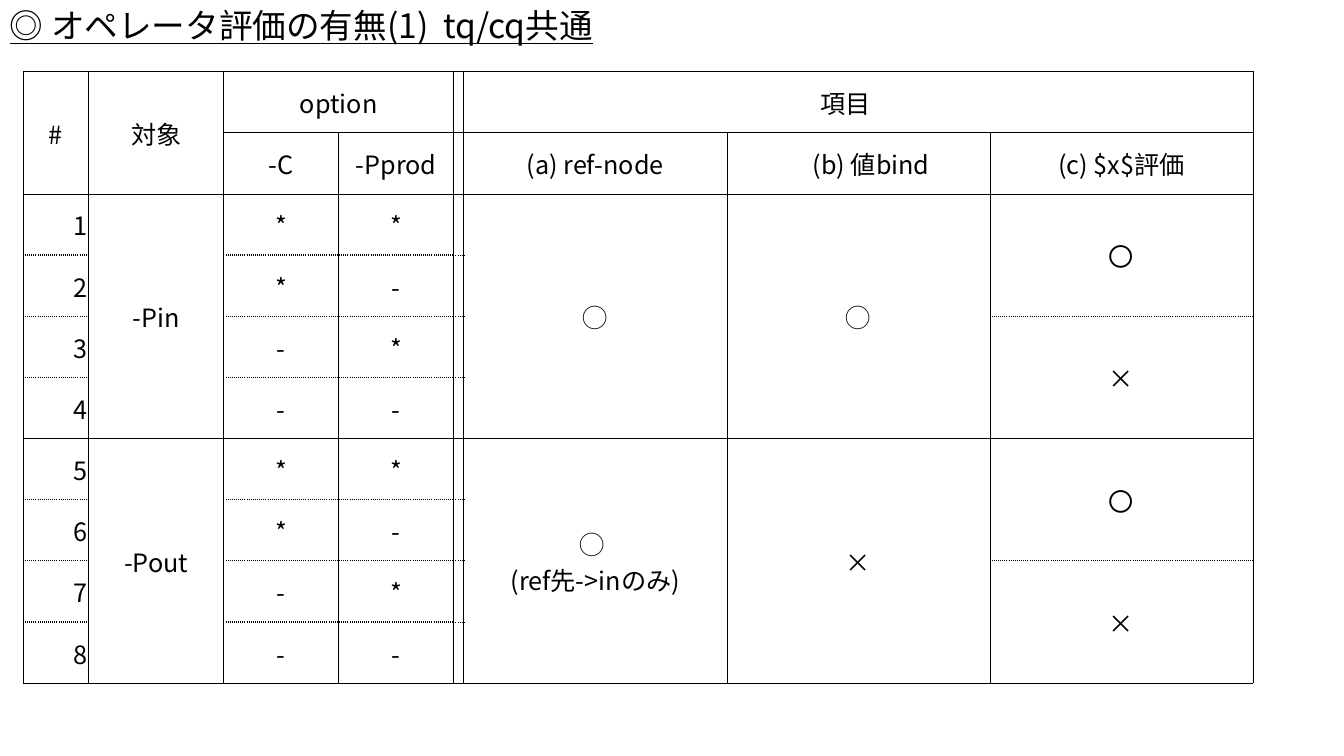
from dataclasses import dataclass

from lxml.etree import SubElement
from pptx import Presentation
from pptx.dml.color import RGBColor
from pptx.enum.text import MSO_ANCHOR, MSO_AUTO_SIZE, PP_ALIGN
from pptx.oxml.ns import qn
from pptx.util import Inches, Pt


@dataclass(frozen=True)
class Theme:
    """Colours, font and sizes of the slide."""
    font: str = "Noto Sans CJK JP"
    ink: str = "000000"
    title_size: int = 24
    body_size: int = 18
    solid: tuple = (0.5, "solid")
    dotted: tuple = (1, "sysDot")
    spacer_dotted: tuple = (0.5, "dot")


THEME = Theme()
TITLE = "◎ オペレータ評価の有無(1)  tq/cq共通"
COLUMN_WIDTHS = (0.65, 1.34, 1.14, 1.14, 0.1, 2.61, 2.61, 2.61)
NUMBER, TARGET, OPTION_C, OPTION_PPROD, SPACER, REF_NODE, BIND, EVALUATION = range(8)
HEADER_ROWS, BLOCK_ROWS = 2, 4
ROW_COUNT = HEADER_ROWS + 2 * BLOCK_ROWS
HEADINGS = {
    (0, NUMBER): ("#", 2, 1),
    (0, TARGET): ("対象", 2, 1),
    (0, OPTION_C): ("option", 1, 2),
    (0, REF_NODE): ("項目\u3000".replace("\u3000", "　"), 1, 3),
    (1, OPTION_C): ("-C", 1, 1),
    (1, OPTION_PPROD): ("-Pprod", 1, 1),
    (1, REF_NODE): ("(a) ref-node", 1, 1),
    (1, BIND): ("　(b) 値bind", 1, 1),
    (1, EVALUATION): ("(c) $x$評価", 1, 1),
}
HEADINGS[0, REF_NODE] = ("項目　", 1, 3)
BLOCKS = (("-Pin", "◯", "◯"), ("-Pout", "◯ \n(ref先->inのみ)", "×"))
OPTIONS = ("**", "*-", "-*", "--")


def apply_format(target, values):
    """Set each named attribute on the target."""
    for name, value in values.items():
        setattr(target, name, value)


def style_text(frame, size, align, underline=None):
    """Give every paragraph of a frame the theme font."""
    for paragraph in frame.paragraphs:
        paragraph.alignment = align
        for run in paragraph.runs:
            apply_format(run.font, {"name": THEME.font, "size": Pt(size),
                                    "underline": underline})
            run.font.color.rgb = RGBColor.from_string(THEME.ink)
            SubElement(run.font._element, qn("a:ea"), typeface=THEME.font)


def horizontal_rule(edge, column):
    """Return the line used at a row edge of a column."""
    step = (edge - HEADER_ROWS) % BLOCK_ROWS
    if edge <= HEADER_ROWS or step == 0:
        return THEME.solid
    if column == SPACER:
        return THEME.spacer_dotted
    if column in (NUMBER, OPTION_C, OPTION_PPROD) or (column == EVALUATION and step == 2):
        return THEME.dotted
    return THEME.solid


def draw_borders(cell, row, column):
    """Draw the four sides of a cell."""
    sides = {
        "a:lnL": THEME.solid,
        "a:lnR": THEME.solid,
        "a:lnT": horizontal_rule(row, column),
        "a:lnB": horizontal_rule(row + cell.span_height, column),
    }
    properties = cell._tc.get_or_add_tcPr()
    for tag, (width, dash) in sides.items():
        line = SubElement(properties, qn(tag), w=str(Pt(width)))
        fill = SubElement(line, qn("a:solidFill"))
        SubElement(fill, qn("a:srgbClr"), val=THEME.ink)
        SubElement(line, qn("a:prstDash"), val=dash)


def table_entries():
    """Map each starting cell to its text, row span and column span."""
    entries = dict(HEADINGS)
    for block, (target, ref_node, bind) in enumerate(BLOCKS):
        top = HEADER_ROWS + block * BLOCK_ROWS
        entries[top, TARGET] = (target, BLOCK_ROWS, 1)
        entries[top, REF_NODE] = (ref_node, BLOCK_ROWS, 1)
        entries[top, BIND] = (bind, BLOCK_ROWS, 1)
        entries[top, EVALUATION] = ("〇", 2, 1)
        entries[top + 2, EVALUATION] = ("×", 2, 1)
        for offset, (option_c, option_pprod) in enumerate(OPTIONS):
            row = top + offset
            entries[row, NUMBER] = (str(row - HEADER_ROWS + 1), 1, 1)
            entries[row, OPTION_C] = (option_c, 1, 1)
            entries[row, OPTION_PPROD] = (option_pprod, 1, 1)
    return entries


def add_title(slide, left, top, width, height):
    """Place the underlined heading in its box."""
    heading = slide.shapes.add_textbox(Inches(left), Inches(top), Inches(width), Inches(height))
    apply_format(heading.text_frame, {"text": TITLE, "word_wrap": False,
                                      "auto_size": MSO_AUTO_SIZE.SHAPE_TO_FIT_TEXT})
    style_text(heading.text_frame, THEME.title_size, PP_ALIGN.LEFT, True)


def add_evaluation_table(slide, left, top, width, height):
    """Place the operator evaluation table in its box."""
    evaluation = slide.shapes.add_table(ROW_COUNT, len(COLUMN_WIDTHS), Inches(left),
                                        Inches(top), Inches(width), Inches(height)).table
    apply_format(evaluation, {"first_row": False, "horz_banding": False})
    for column, share in zip(evaluation.columns, COLUMN_WIDTHS):
        column.width = Inches(width * share / sum(COLUMN_WIDTHS))
    for (row, column), (text, row_span, column_span) in table_entries().items():
        cell = evaluation.cell(row, column)
        if row_span * column_span > 1:
            cell.merge(evaluation.cell(row + row_span - 1, column + column_span - 1))
        cell.text = text
        numbered = column == NUMBER and row >= HEADER_ROWS
        style_text(cell.text_frame, THEME.body_size,
                   PP_ALIGN.RIGHT if numbered else PP_ALIGN.CENTER)
    margin = Inches(0.01)
    for row in range(ROW_COUNT):
        for column in range(len(COLUMN_WIDTHS)):
            cell = evaluation.cell(row, column)
            apply_format(cell, {"vertical_anchor": MSO_ANCHOR.MIDDLE,
                                "margin_left": margin, "margin_right": margin,
                                "margin_top": margin, "margin_bottom": 0})
            draw_borders(cell, row, column)
            cell.fill.background()


def main():
    """Build and save the slide."""
    deck = Presentation()
    apply_format(deck, {"slide_width": Inches(13.33), "slide_height": Inches(7.5)})
    slide = deck.slides.add_slide(deck.slide_layouts[6])
    add_title(slide, 0, 0, 6.91, 0.5)
    add_evaluation_table(slide, 0.23, 0.71, 12.2, 6.07)
    deck.save("out.pptx")


if __name__ == "__main__":
    main()
